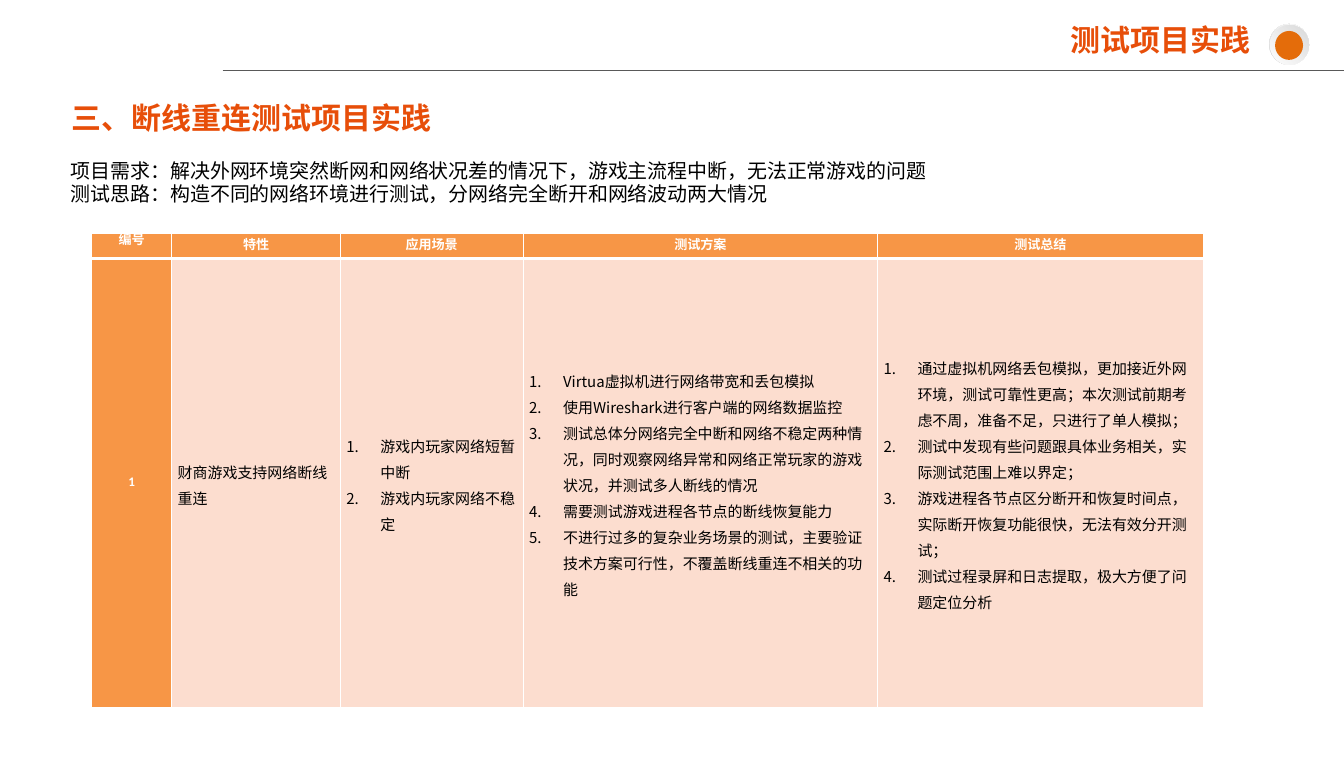
from dataclasses import dataclass

from lxml import etree
from pptx import Presentation
from pptx.dml.color import RGBColor
from pptx.enum.shapes import MSO_CONNECTOR, MSO_SHAPE
from pptx.enum.text import MSO_ANCHOR, PP_ALIGN
from pptx.oxml.ns import qn
from pptx.util import Emu, Pt

PX = 10160  # 90 px to the inch
STRAIGHT = MSO_CONNECTOR.STRAIGHT
OVAL = MSO_SHAPE.OVAL
TOP, MIDDLE = MSO_ANCHOR.TOP, MSO_ANCHOR.MIDDLE
LEFT, CENTER, RIGHT = PP_ALIGN.LEFT, PP_ALIGN.CENTER, PP_ALIGN.RIGHT


@dataclass(frozen=True)
class Theme:
    font: str = "Noto Sans CJK SC"
    label_font: str = "Calibri"
    heading: str = "E74E09"
    text: str = "000000"
    white: str = "FFFFFF"
    rule: str = "595959"
    ring: str = "D9D9D9"
    ring_light: str = "FEFEFE"
    dot: str = "E46C0A"
    label_fill: str = "F79646"
    body_fill: str = "FCDDCF"
    heading_size: float = 24
    intro_size: float = 16
    body_size: float = 12
    label_size: float = 10.5


def px(value):
    return Emu(value * PX)


def rgb(value):
    return RGBColor.from_string(value)


class Page:
    def __init__(self, slide, theme):
        self.slide = slide
        self.theme = theme

    def style(self, para, size, color, bold=False, font=None):
        para.font.name = font or self.theme.font
        para.font.size = Pt(size)
        para.font.bold = bold
        para.font.color.rgb = rgb(color)
        properties = para.font._element
        etree.SubElement(properties, qn("a:ea"), typeface=self.theme.font)

    def rule(self, x1, y1, x2, y2):
        line = self.slide.shapes.add_connector(STRAIGHT, px(x1), px(y1), px(x2), px(y2))
        line.line.color.rgb = rgb(self.theme.rule)
        line.line.width = Pt(0.75)
        etree.SubElement(line._element.spPr, qn("a:effectLst"))

    def circle(self, x, y, w, h, *colors):
        """One colour gives a solid fill, two give a radial gradient."""
        shape = self.slide.shapes.add_shape(OVAL, px(x), px(y), px(w), px(h))
        shape.shadow.inherit = False
        shape.line.fill.background()
        if len(colors) == 1:
            shape.fill.solid()
            shape.fill.fore_color.rgb = rgb(colors[0])
            return
        shape.fill.gradient()
        for position, (stop, color) in enumerate(zip(shape.fill.gradient_stops, colors)):
            stop.position = position
            stop.color.rgb = rgb(color)
        gradient = shape._element.spPr.find(qn("a:gradFill"))
        linear = gradient.find(qn("a:lin"))
        radial = etree.Element(qn("a:path"), path="circle")
        etree.SubElement(radial, qn("a:fillToRect"), l="100000", b="100000")
        gradient.replace(linear, radial)

    def text(self, x, y, w, h, lines, size, color, bold=False, align=LEFT, spacing=1.0):
        box = self.slide.shapes.add_textbox(px(x), px(y), px(w), px(h))
        frame = box.text_frame
        frame.word_wrap = True
        frame.margin_left = frame.margin_right = frame.margin_top = frame.margin_bottom = 0
        frame.text = "\n".join(lines)
        for para in frame.paragraphs:
            para.alignment = align
            para.line_spacing = spacing
            self.style(para, size, color, bold)

    def borders(self, cell, top, bottom):
        properties = cell._tc.get_or_add_tcPr()
        for side, width in (("L", 1), ("R", 1), ("T", top), ("B", bottom)):
            line = etree.SubElement(properties, qn("a:ln" + side), w=str(Pt(width)))
            fill = etree.SubElement(line, qn("a:solidFill"))
            etree.SubElement(fill, qn("a:srgbClr"), val=self.theme.white)

    def number(self, para):
        properties = para._p.get_or_add_pPr()
        indent = px(34)
        properties.set("marL", str(indent))
        properties.set("indent", str(-indent))
        etree.SubElement(properties, qn("a:buAutoNum"), type="arabicPeriod")

    def cell(self, cell, lines, is_label, anchor):
        theme = self.theme
        cell.margin_left = cell.margin_right = px(6)
        cell.margin_top = cell.margin_bottom = 0
        cell.vertical_anchor = anchor
        cell.fill.solid()
        cell.fill.fore_color.rgb = rgb(theme.label_fill if is_label else theme.body_fill)
        cell.text_frame.text = "\n".join(lines)
        for para in cell.text_frame.paragraphs:
            para.line_spacing = Pt(12) if is_label else 1.2
            para.alignment = CENTER if is_label else LEFT
            if len(lines) > 1:
                self.number(para)
            if is_label:
                self.style(para, theme.label_size, theme.white, True, theme.label_font)
            else:
                self.style(para, theme.body_size, theme.text)

    def table(self, x, y, widths, heights, rows):
        frame = self.slide.shapes.add_table(
            len(rows), len(widths), px(x), px(y), px(sum(widths)), px(sum(heights)))
        table = frame.table
        table.first_row = table.horz_banding = False
        for column, width in zip(table.columns, widths):
            column.width = px(width)
        for r, (height, row) in enumerate(zip(heights, rows)):
            table.rows[r].height = px(height)
            for c, lines in enumerate(row):
                cell = table.cell(r, c)
                self.borders(cell, 3 if r else 1, 1 if r else 3)
                self.cell(cell, lines, r == 0 or c == 0, MIDDLE if r or c else TOP)


ROWS = [
    [["编号"], ["特性"], ["应用场景"], ["测试方案"], ["测试总结"]],
    [
        ["1"],
        ["财商游戏支持网络断线重连"],
        ["游戏内玩家网络短暂中断", "游戏内玩家网络不稳定"],
        [
            "Virtua虚拟机进行网络带宽和丢包模拟",
            "使用Wireshark进行客户端的网络数据监控",
            "测试总体分网络完全中断和网络不稳定两种情况，同时观察网络异常和网络正常玩家的游戏状况，并测试多人断线的情况",
            "需要测试游戏进程各节点的断线恢复能力",
            "不进行过多的复杂业务场景的测试，主要验证技术方案可行性，不覆盖断线重连不相关的功能",
        ],
        [
            "通过虚拟机网络丢包模拟，更加接近外网环境，测试可靠性更高；本次测试前期考虑不周，准备不足，只进行了单人模拟；",
            "测试中发现有些问题跟具体业务相关，实际测试范围上难以界定；",
            "游戏进程各节点区分断开和恢复时间点，实际断开恢复功能很快，无法有效分开测试；",
            "测试过程录屏和日志提取，极大方便了问题定位分析",
        ],
    ],
]
INTRO = [
    "项目需求：解决外网环境突然断网和网络状况差的情况下，游戏主流程中断，无法正常游戏的问题",
    "测试思路：构造不同的网络环境进行测试，分网络完全断开和网络波动两大情况",
]


def main():
    deck = Presentation()
    deck.slide_width, deck.slide_height = px(1346), px(779)
    theme = Theme()
    page = Page(deck.slides.add_slide(deck.slide_layouts[6]), theme)

    # Header rule and round badge
    page.rule(223, 71, 1346, 71)
    page.circle(1271, 24, 40, 41, theme.white, theme.ring)
    page.circle(1272, 25, 39, 40, theme.ring, theme.ring_light)
    page.circle(1277, 31, 28, 29, theme.dot)

    # Headings and introduction
    page.text(801, 22, 451, 44, ["测试项目实践"], theme.heading_size, theme.heading, True, RIGHT)
    page.text(72, 100, 1180, 44, ["三、断线重连测试项目实践"],
              theme.heading_size, theme.heading, True)
    page.text(71, 160, 1154, 58, INTRO, theme.intro_size, theme.text, spacing=0.97)

    # Test plan table
    page.table(92, 234, [80, 169, 183, 355, 326], [25, 449], ROWS)

    deck.save("out.pptx")


if __name__ == "__main__":
    main()
